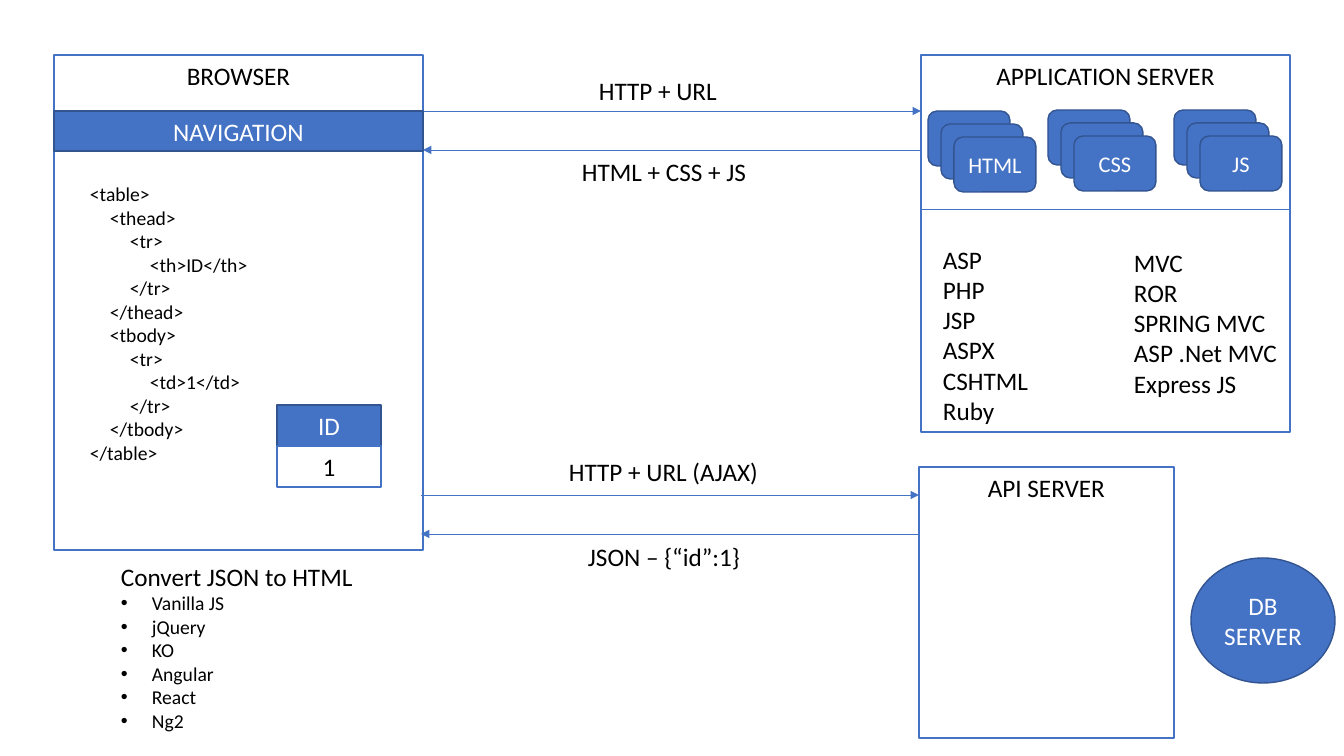
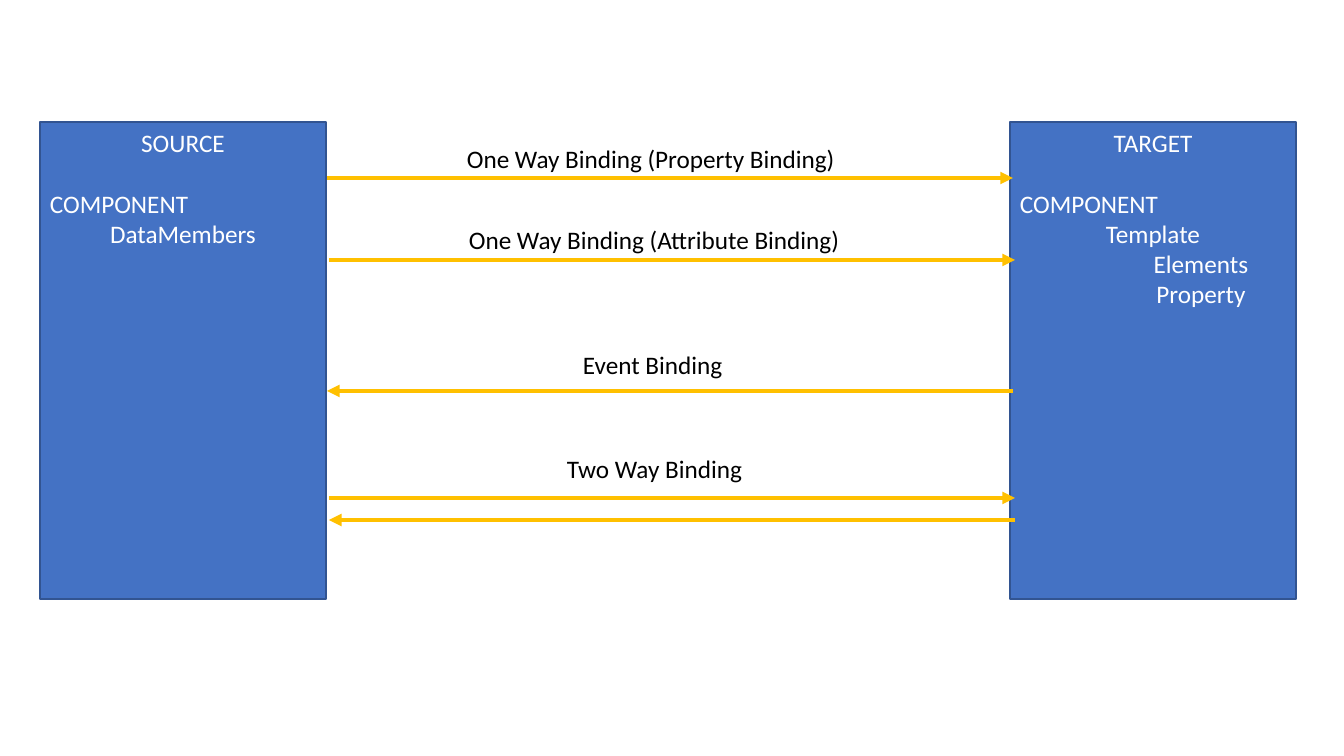
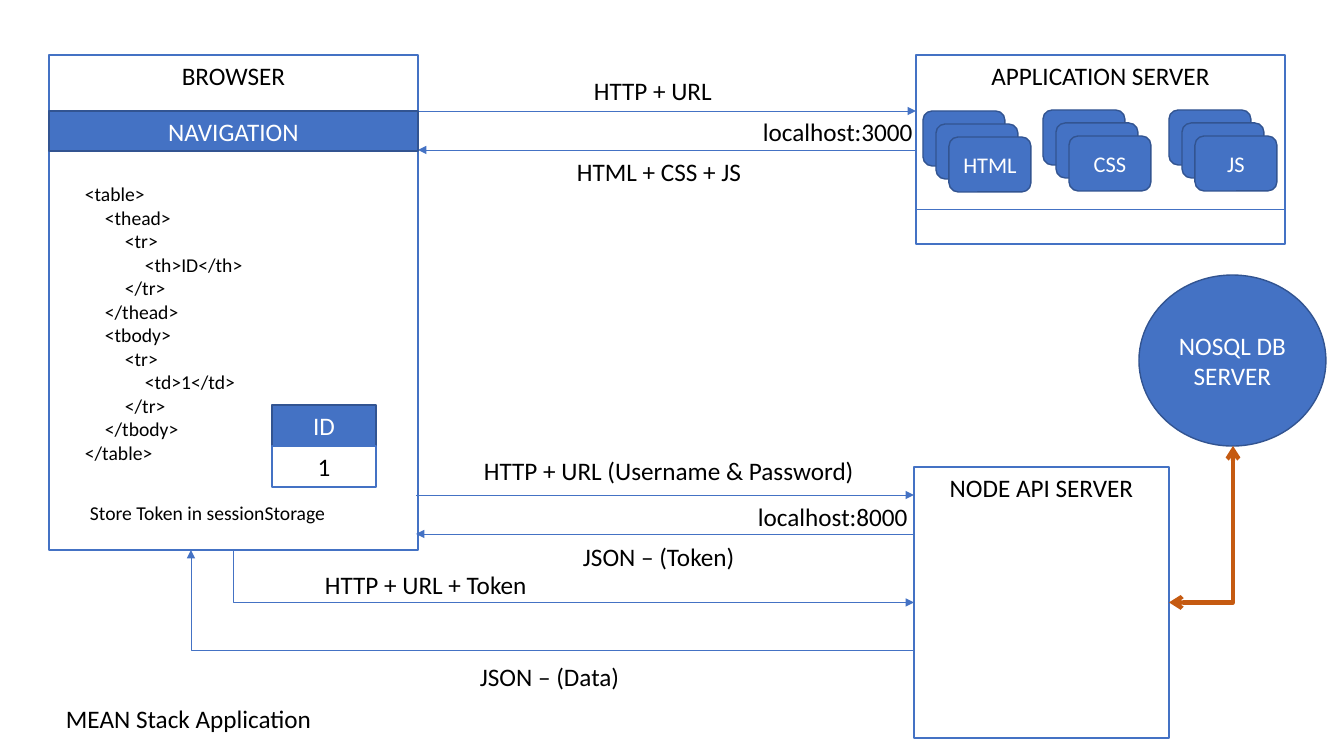
from dataclasses import dataclass

from lxml import etree
from pptx import Presentation
from pptx.dml.color import RGBColor
from pptx.enum.shapes import MSO_CONNECTOR, MSO_SHAPE
from pptx.enum.text import MSO_ANCHOR, PP_ALIGN
from pptx.oxml.ns import qn
from pptx.util import Pt

RECT, CARD, OVAL = MSO_SHAPE.RECTANGLE, MSO_SHAPE.ROUNDED_RECTANGLE, MSO_SHAPE.OVAL
STRAIGHT, ELBOW = MSO_CONNECTOR.STRAIGHT, MSO_CONNECTOR.ELBOW
LEFT, CENTER = PP_ALIGN.LEFT, PP_ALIGN.CENTER
TOP, MIDDLE = MSO_ANCHOR.TOP, MSO_ANCHOR.MIDDLE
SLIDE_W, SLIDE_H = 1344, 756
EMU_PER_PX = 12192000 / SLIDE_W


@dataclass(frozen=True)
class Theme:
    font: str = "Calibri"
    blue: str = "4472C4"
    dark_blue: str = "325491"
    gold: str = "FFC000"
    rust: str = "C55A11"
    white: str = "FFFFFF"
    black: str = "000000"
    body: int = 18
    card: int = 16
    small: int = 14
    thin: float = 0.5
    outline: float = 1
    thick: float = 3


@dataclass(frozen=True)
class Line:
    """One paragraph; indent is in px, gap in points."""
    text: str
    size: int = Theme.body
    align: PP_ALIGN = LEFT
    indent: int = 0
    gap: int = 0
    bullet: bool = False


T = Theme()
CODE = [(0, "<table>"), (1, "<thead>"), (2, "<tr>"), (3, "<th>ID</th>"),
        (2, "</tr>"), (1, "</thead>"), (1, "<tbody>"), (2, "<tr>"),
        (3, "<td>1</td>"), (2, "</tr>"), (1, "</tbody>"), (0, "</table>")]


def px(n):
    return round(n * EMU_PER_PX)


def rgb(code):
    return RGBColor.from_string(code)


def write(tf, lines, color):
    for i, line in enumerate(lines):
        p = tf.paragraphs[0] if i == 0 else tf.add_paragraph()
        p.text = line.text
        p.alignment = line.align
        p.space_before = Pt(line.gap)
        pPr = p._p.get_or_add_pPr()
        pPr.set("marL", str(px(line.indent)))
        if line.bullet:
            pPr.set("indent", str(-px(line.indent)))
            etree.SubElement(pPr, qn("a:buFont")).set("typeface", "Arial")
            etree.SubElement(pPr, qn("a:buChar")).set("char", "•")
        for r in p.runs:
            r.font.name = T.font
            r.font.size = Pt(line.size)
            r.font.color.rgb = rgb(color)


def add_box(slide, kind, at, lines=(), filled=True, anchor=MIDDLE):
    sp = slide.shapes.add_shape(kind, *map(px, at))
    sp.shadow.inherit = False
    sp.fill.solid()
    sp.fill.fore_color.rgb = rgb(T.blue if filled else T.white)
    sp.line.color.rgb = rgb(T.dark_blue if filled else T.blue)
    sp.line.width = Pt(T.outline)
    sp.text_frame.vertical_anchor = anchor
    write(sp.text_frame, lines, T.white if filled else T.black)
    return sp


def centered(text, size=T.body):
    return [Line(text, size, CENTER)]


def add_text(slide, at, lines):
    tf = slide.shapes.add_textbox(*map(px, at)).text_frame
    tf.word_wrap = False
    write(tf, lines, T.black)


def add_label(slide, x, y, w, text):
    add_text(slide, (x, y, w, 40), [Line(text)])


def add_line(slide, start, end, color=T.blue, width=T.thin, head=None,
             tail="triangle", kind=STRAIGHT):
    """Elbow lines make a single turn, leaving the start horizontally."""
    cxn = slide.shapes.add_connector(kind, *map(px, start + end))
    cxn.line.color.rgb = rgb(color)
    cxn.line.width = Pt(width)
    spPr = cxn._element.spPr
    if kind == ELBOW:
        spPr.find(qn("a:prstGeom")).set("prst", "bentConnector2")
    ln = spPr.find(qn("a:ln"))
    for tag, arrow in (("a:headEnd", head), ("a:tailEnd", tail)):
        if arrow:
            etree.SubElement(ln, qn(tag)).set("type", arrow)
    etree.SubElement(spPr, qn("a:effectLst"))
    return cxn


def add_card_stack(slide, x, y, text):
    for i in range(3):
        lines = centered(text, T.card) if i == 2 else ()
        add_box(slide, CARD, (x + 13 * i, y + 13 * i, 82, 55), lines)


def add_exchange(slide, left, right, y):
    """A request arrow with its reply below."""
    add_line(slide, (left, y), (right, y))
    add_line(slide, (right, y + 39), (left, y + 39))


def add_architecture(slide, dx, app_height, api_title, reply):
    """Browser and servers; returns the browser and API server boxes."""
    add_box(slide, RECT, (921 + dx, 55, 369, app_height),
            centered("APPLICATION SERVER"), False, TOP)
    browser = add_box(slide, RECT, (54 + dx, 55, 369, 495),
                      centered("BROWSER"), False, TOP)
    add_exchange(slide, 423 + dx, 921 + dx, 111)
    add_label(slide, 589 + dx, 70, 140, "HTTP + URL")
    add_label(slide, 572 + dx, 151, 186, "HTML + CSS + JS")
    for x, y, text in ((928, 111, "HTML"), (1048, 110, "CSS"), (1174, 110, "JS")):
        add_card_stack(slide, x + dx, y, text)
    add_line(slide, (921 + dx, 209), (1290 + dx, 209), tail=None)
    add_box(slide, RECT, (54 + dx, 111, 369, 40), centered("NAVIGATION"))
    add_exchange(slide, 421 + dx, 919 + dx, 495)
    add_label(slide, 578 + dx, 536, 174, reply)
    api = add_box(slide, RECT, (919 + dx, 467, 255, 271),
                  centered(api_title), False, TOP)
    add_text(slide, (80 + dx, 177, 269, 295),
             [Line(text, T.small, indent=20 * level) for level, text in CODE])
    for row, text in enumerate(("ID", "1")):
        add_box(slide, RECT, (277 + dx, 405 + 41 * row, 104, 41),
                centered(text), filled=row == 0)
    return browser, api


def build_web_app(slide):
    add_architecture(slide, 0, 377, "API SERVER", "JSON – {“id”:1}")
    add_label(slide, 559, 451, 226, "HTTP + URL (AJAX)")
    add_text(slide, (933, 239, 107, 194), [Line(name) for name in (
        "ASP", "PHP", "JSP", "ASPX", "CSHTML", "Ruby")])
    add_text(slide, (1124, 242, 165, 163), [Line(name) for name in (
        "MVC", "ROR", "SPRING MVC", "ASP .Net MVC", "Express JS")])
    add_box(slide, OVAL, (1191, 558, 144, 125), centered("DB SERVER"))
    libraries = ("Vanilla JS", "jQuery", "KO", "Angular", "React", "Ng2")
    add_text(slide, (111, 556, 255, 183), [Line("Convert JSON to HTML")] + [
        Line(name, T.small, indent=31, bullet=True) for name in libraries])


def build_binding(slide):
    component = Line("COMPONENT", gap=22)
    source = centered("SOURCE") + [component] + centered("DataMembers")
    target = centered("TARGET") + [component] + centered("Template") + [
        Line(text, align=CENTER, indent=96) for text in ("Elements", "Property")]
    for x, lines in ((40, source), (1010, target)):
        add_box(slide, RECT, (x, 122, 286, 477), lines, anchor=TOP)
    for left, y, forward in ((327, 178, True), (329, 260, True), (327, 391, False),
                             (329, 498, True), (329, 520, False)):
        ends = [(left, y), (left + 686, y)]
        start, end = ends if forward else ends[::-1]
        add_line(slide, start, end, T.gold, T.thick)
    for x, y, w, text in ((457, 138, 392, "One Way Binding (Property Binding)"),
                          (459, 219, 396, "One Way Binding (Attribute Binding)"),
                          (573, 344, 161, "Event Binding"),
                          (557, 448, 198, "Two Way Binding")):
        add_label(slide, x, y, w, text)


def build_token_app(slide):
    browser, api = add_architecture(slide, -5, 189, "NODE API SERVER",
                                    "JSON – (Token)")
    add_box(slide, OVAL, (1139, 275, 187, 171), centered("NOSQL DB SERVER"))
    for x, y, w, text in ((474, 450, 390, "HTTP + URL (Username & Password)"),
                          (753, 111, 171, "localhost:3000"),
                          (748, 496, 171, "localhost:8000"),
                          (56, 698, 268, "MEAN Stack Application"),
                          (315, 564, 225, "HTTP + URL + Token"),
                          (470, 656, 161, "JSON – (Data)")):
        add_label(slide, x, y, w, text)
    add_text(slide, (80, 496, 260, 34),
             [Line("Store Token in sessionStorage", T.small)])
    db_link = add_line(slide, (1169, 602), (1233, 446), T.rust, T.thick,
                       "arrow", "arrow", ELBOW)
    db_link.begin_connect(api, 3)
    request = add_line(slide, (914, 602), (233, 550), head="triangle",
                       tail=None, kind=ELBOW)
    request.begin_connect(api, 1)
    request.end_connect(browser, 2)
    add_line(slide, (914, 650), (191, 550), kind=ELBOW)


def main():
    prs = Presentation()
    prs.slide_width, prs.slide_height = px(SLIDE_W), px(SLIDE_H)
    blank = prs.slide_layouts[6]
    for build in (build_web_app, build_binding, build_token_app):
        build(prs.slides.add_slide(blank))
    prs.save("out.pptx")


if __name__ == "__main__":
    main()
